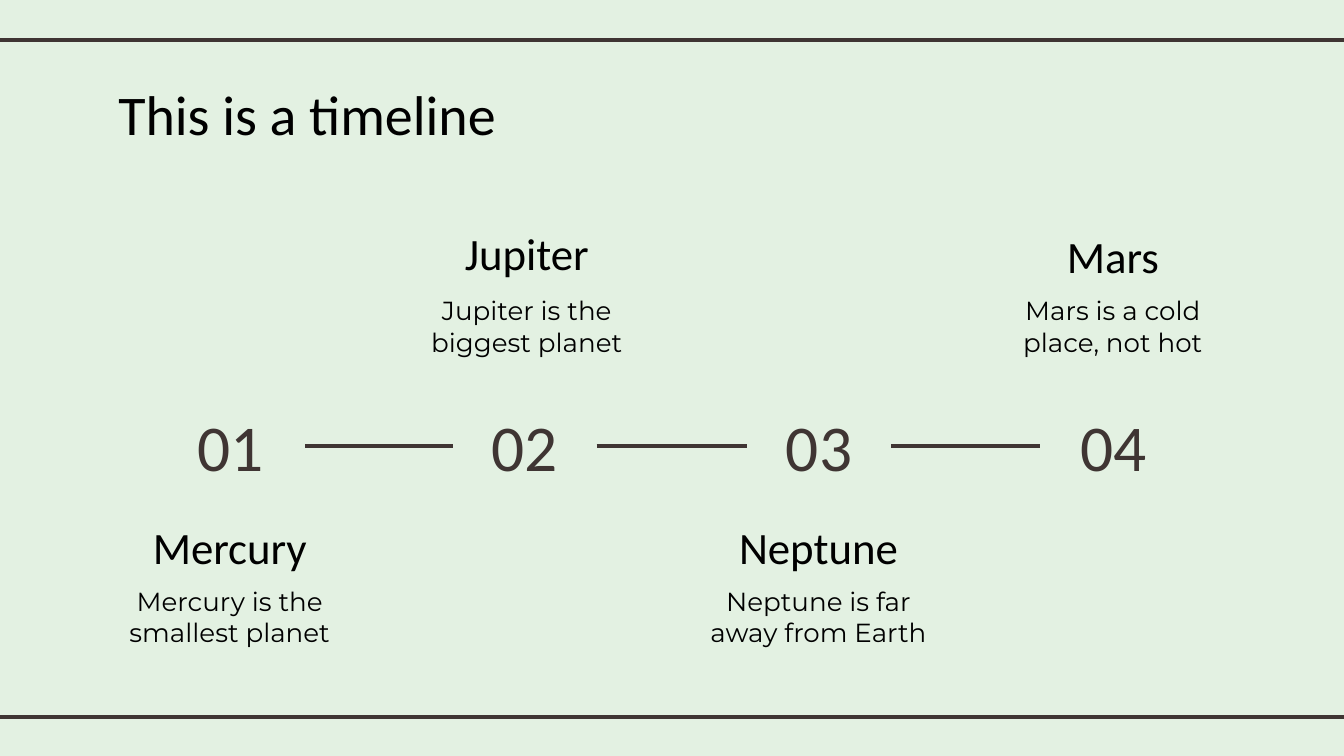
from dataclasses import dataclass
from itertools import pairwise

from pptx import Presentation
from pptx.dml.color import RGBColor
from pptx.enum.shapes import MSO_CONNECTOR as Connector
from pptx.enum.text import MSO_ANCHOR as Anchor, MSO_AUTO_SIZE as AutoSize, PP_ALIGN as Align
from pptx.oxml.ns import qn
from pptx.util import Emu, Inches, Pt
from lxml.etree import SubElement

WIDTH, HEIGHT = Inches(10), Inches(5.625)
BROWN, BLACK, MINT = "3F3533", "000000", "E3F1E2"
HEADING_FONT, BODY_FONT = "Calibri", "Montserrat"
INSET = Inches(0.1)


@dataclass(frozen=True)
class Box:
    left: float
    top: float
    width: float
    height: float

    def emu(self) -> tuple[Emu, Emu, Emu, Emu]:
        return across(self.left), down(self.top), across(self.width), down(self.height)


@dataclass(frozen=True)
class Style:
    font: str
    size: float
    color: str
    align: Align = Align.CENTER
    anchor: Anchor = Anchor.MIDDLE


@dataclass(frozen=True)
class Milestone:
    number: str
    number_left: float
    number_width: float
    planet: str
    fact: str
    left: float
    planet_top: float
    fact_top: float


TITLE = Style(HEADING_FONT, 30, BLACK, Align.LEFT, Anchor.TOP)
NUMBER = Style(HEADING_FONT, 35, BROWN)
PLANET = Style(HEADING_FONT, 24, BLACK)
FACT = Style(BODY_FONT, 14, BLACK, anchor=Anchor.TOP)

MILESTONES = [
    Milestone("01", 11.6, 11.1, "Mercury", "Mercury is the smallest planet", 7.7, 68.8, 75.6),
    Milestone("02", 33.7, 10.7, "Jupiter", "Jupiter is the biggest planet", 29.8, 29.9, 37.2),
    Milestone("03", 55.6, 10.7, "Neptune", "Neptune is far away from Earth", 51.5, 68.8, 75.6),
    Milestone("04", 77.4, 10.9, "Mars", "Mars is a cold place, not hot", 73.4, 30.4, 37.2),
]


def across(percent: float) -> Emu:
    return Emu(round(WIDTH * percent / 100))


def down(percent: float) -> Emu:
    return Emu(round(HEIGHT * percent / 100))


def rgb(color: str) -> RGBColor:
    return RGBColor.from_string(color)


def write(sp, box: Box, text: str, style: Style) -> None:
    sp.left, sp.top, sp.width, sp.height = box.emu()
    tf = sp.text_frame
    tf.word_wrap = True
    tf.auto_size = AutoSize.NONE
    tf.vertical_anchor = style.anchor
    tf.margin_left = tf.margin_right = tf.margin_top = tf.margin_bottom = INSET
    p = tf.paragraphs[0]
    p.alignment = style.align
    r = p.add_run()
    r.text = text
    r.font.name = style.font
    r.font.size = Pt(style.size)
    r.font.color.rgb = rgb(style.color)


def add_text(s, box: Box, text: str, style: Style) -> None:
    write(s.shapes.add_textbox(*box.emu()), box, text, style)


def add_rule(s, start: float, end: float, height: float) -> None:
    y = down(height)
    line = s.shapes.add_connector(Connector.STRAIGHT, across(start), y, across(end), y)
    line.line.color.rgb = rgb(BROWN)
    line.line.width = Pt(2.25)
    SubElement(line._element.spPr, qn("a:effectLst"))


def add_milestone(s, m: Milestone) -> None:
    add_text(s, Box(m.number_left, 52.4, m.number_width, 13), m.number, NUMBER)
    add_text(s, Box(m.left, m.planet_top, 18.8, 6.9), m.planet, PLANET)
    add_text(s, Box(m.left, m.fact_top, 18.8, 11.2), m.fact, FACT)


def main() -> None:
    prs = Presentation()
    prs.slide_width, prs.slide_height = WIDTH, HEIGHT
    s = prs.slides.add_slide(prs.slide_layouts.get_by_name("Title Only"))
    s.background.fill.solid()
    s.background.fill.fore_color.rgb = rgb(MINT)

    for height in (5.3, 94.8):
        add_rule(s, -0.8, 100.8, height)
    write(s.shapes.title, Box(7.8, 8.7, 84.4, 11.2), "This is a timeline", TITLE)
    for before, after in pairwise(MILESTONES):
        add_rule(s, before.number_left + before.number_width, after.number_left, 59)
    for milestone in MILESTONES:
        add_milestone(s, milestone)

    prs.save("out.pptx")


if __name__ == "__main__":
    main()
